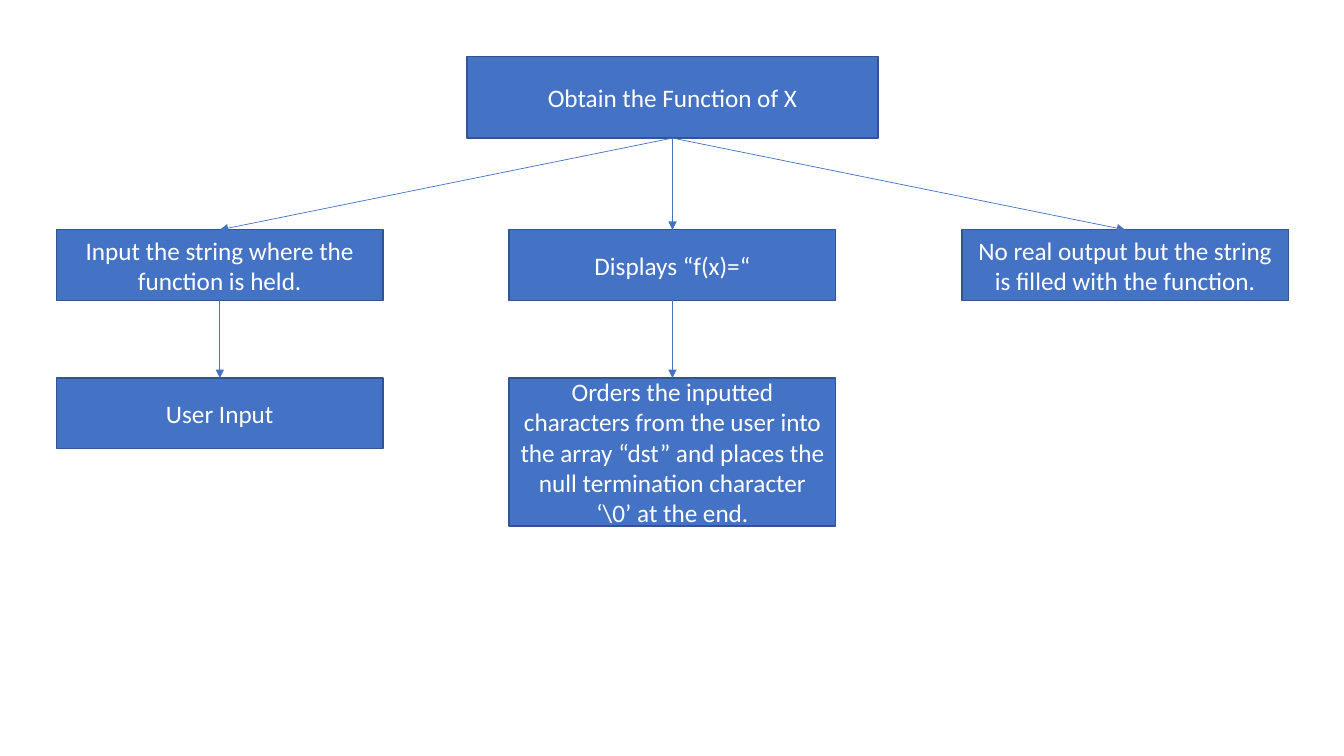
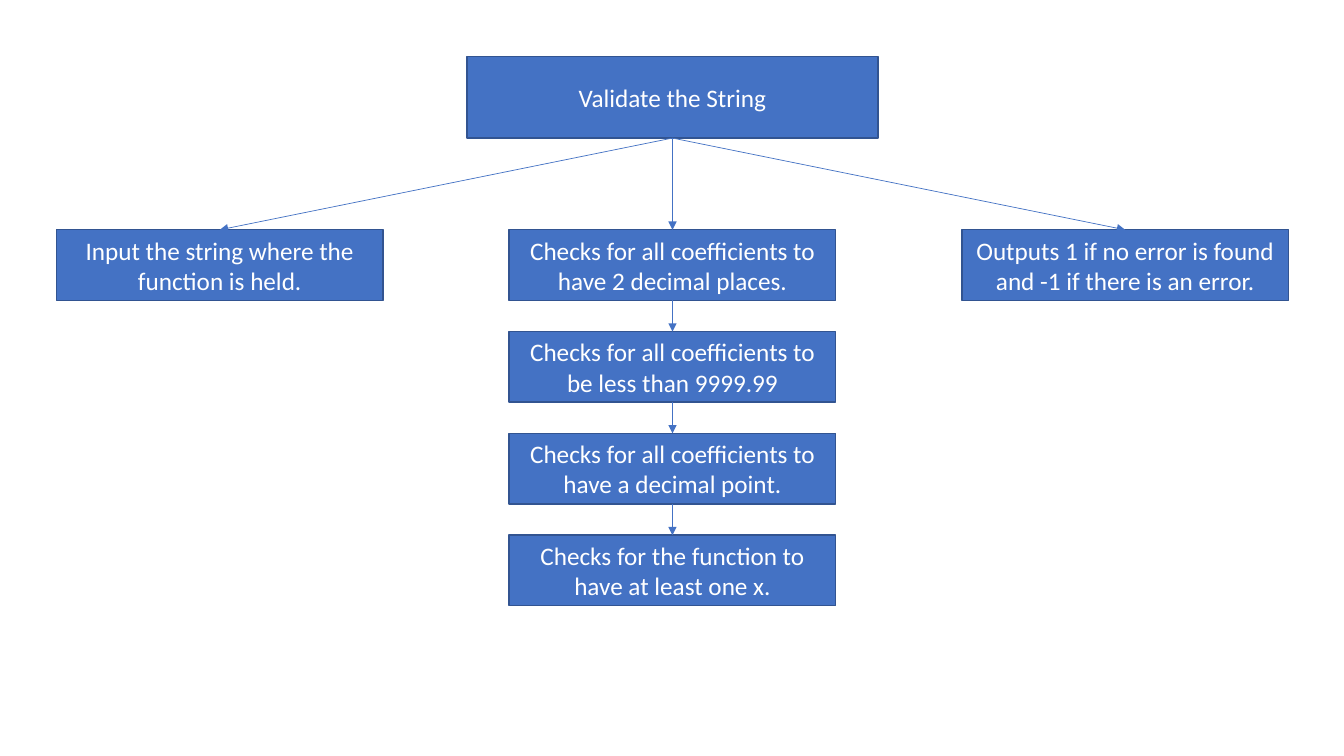
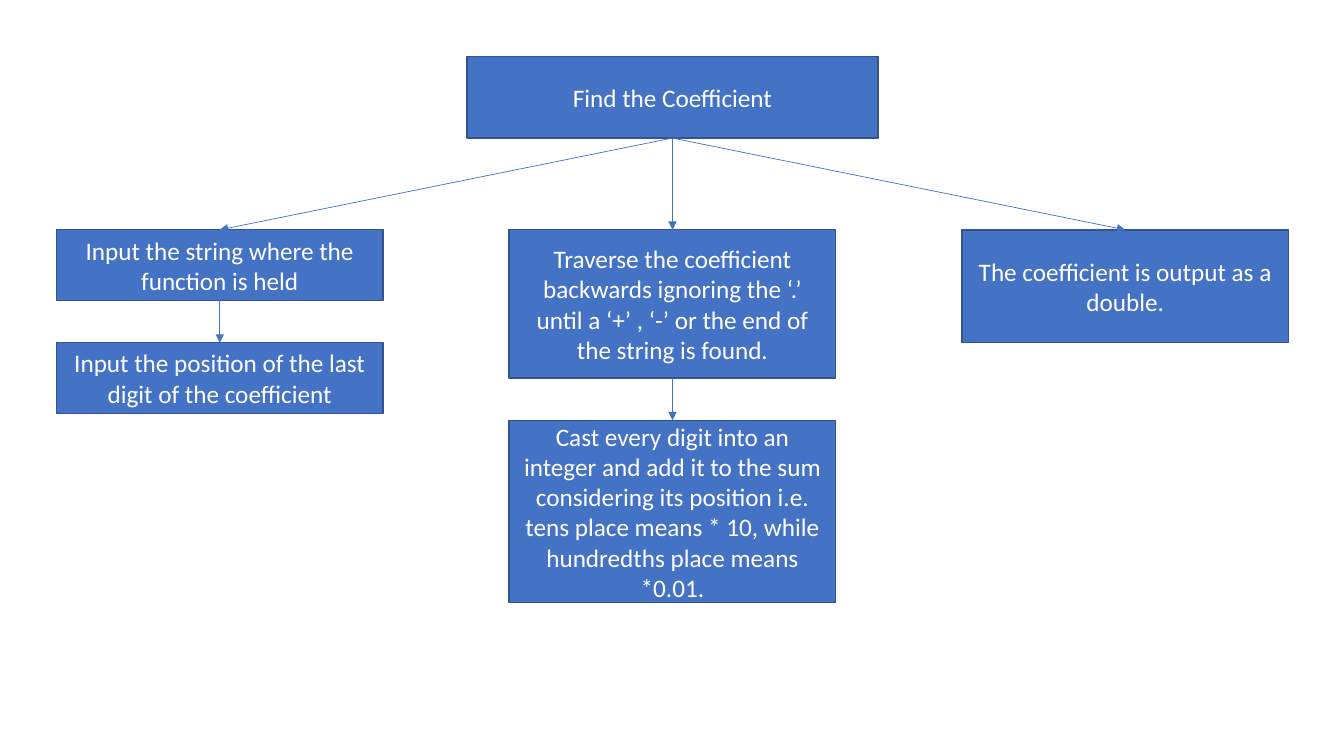
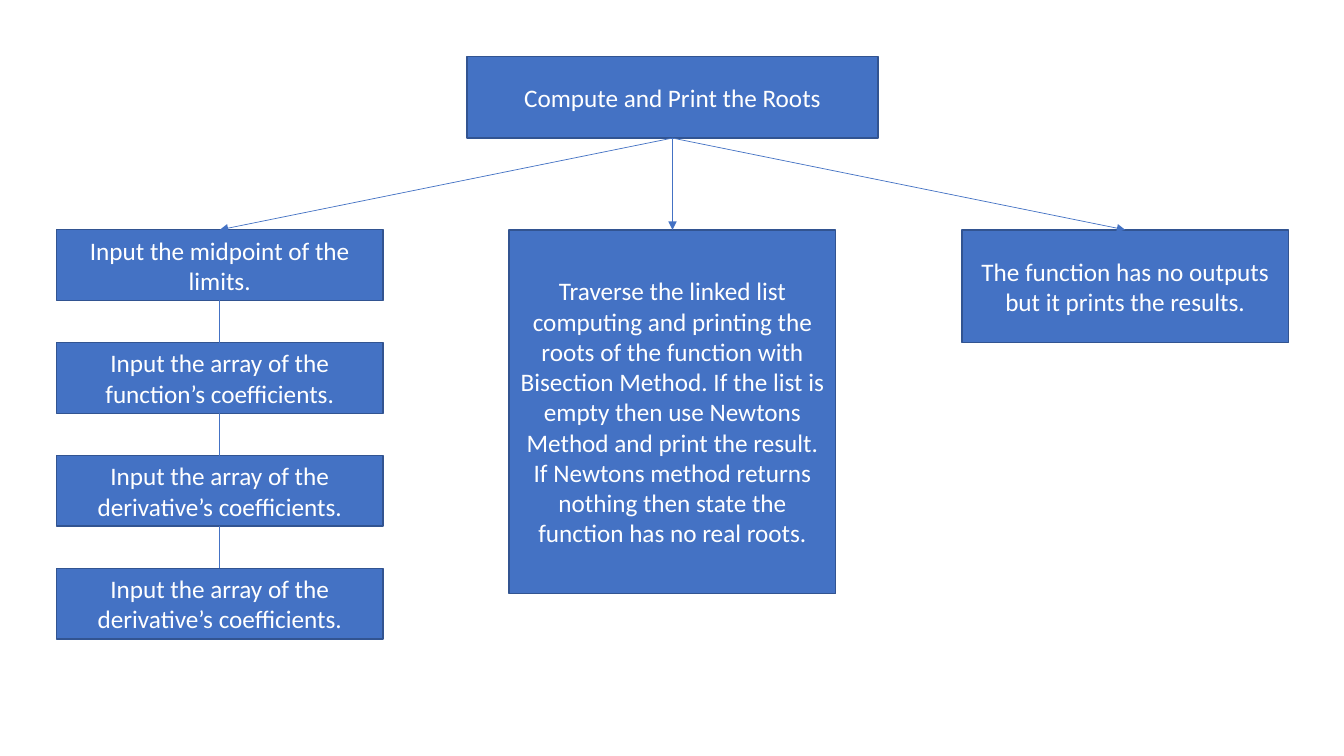
"""Build four structure charts, each a function with its input, process and output columns."""
from lxml import etree
from pptx import Presentation
from pptx.dml.color import RGBColor
from pptx.enum import shapes, text
from pptx.oxml import ns
from pptx.util import Inches, Pt

COLORS = {"box": "4472C4", "border": "325491", "arrow": "4472C4", "text": "FFFFFF"}
FONT = "Calibri"
ROOT = (4.63, 0.56, 4.08, 0.81)
COLUMN_LEFT, COLUMN_STEP, COLUMN_TOP, COLUMN_WIDTH = 0.56, 4.49, 2.28, 3.24
LOW, MEDIUM, TALL = 0.7, 1.12, 1.47
TOP_SITE, BOTTOM_SITE = 0, 2

CHARTS = [
    {
        "root": "Obtain the Function of X",
        "gap": 0.77,
        "columns": [
            [("Input the string where the function is held.", LOW), ("User Input", LOW)],
            [
                ("Displays “f(x)=“", LOW),
                ("Orders the inputted characters from the user into the array “dst” "
                 "and places the null termination character ‘\\0’ at the end.", TALL),
            ],
            [("No real output but the string is filled with the function.", LOW)],
        ],
    },
    {
        "root": "Validate the String",
        "gap": 0.31,
        "columns": [
            [("Input the string where the function is held.", LOW)],
            [
                ("Checks for all coefficients to have 2 decimal places.", LOW),
                ("Checks for all coefficients to be less than 9999.99", LOW),
                ("Checks for all coefficients to have a decimal point.", LOW),
                ("Checks for the function to have at least one x.", LOW),
            ],
            [("Outputs 1 if no error is found and -1 if there is an error.", LOW)],
        ],
    },
    {
        "root": "Find the Coefficient",
        "gap": 0.42,
        "columns": [
            [
                ("Input the string where the function is held", LOW),
                ("Input the position of the last digit of the coefficient", LOW),
            ],
            [
                ("Traverse the coefficient backwards ignoring the ‘.’ until a ‘+’ , ‘-’ "
                 "or the end of the string is found.", TALL),
                ("Cast every digit into an integer and add it to the sum considering its "
                 "position i.e. tens place means * 10, while hundredths place means *0.01.",
                 1.81),
            ],
            [("The coefficient is output as a double.", MEDIUM)],
        ],
    },
    {
        "root": "Compute and Print the Roots",
        "gap": 0.42,
        "step_arrows": False,
        "columns": [
            [
                ("Input the midpoint of the limits.", LOW),
                ("Input the array of the function’s coefficients.", LOW),
                ("Input the array of the derivative’s coefficients.", LOW),
                ("Input the array of the derivative’s coefficients.", LOW),
            ],
            [
                ("Traverse the linked list computing and printing the roots of the function "
                 "with Bisection Method. If the list is empty then use Newtons Method and "
                 "print the result. If Newtons method returns nothing then state the "
                 "function has no real roots.", 3.61),
            ],
            [("The function has no outputs but it prints the results.", MEDIUM)],
        ],
    },
]


def rgb(role):
    """Return the colour for a role."""
    return RGBColor.from_string(COLORS[role])


def write(frame, wording, size=18, color="text", align=text.PP_ALIGN.CENTER):
    """Put formatted wording in the middle of a text frame."""
    frame.word_wrap = True
    frame.vertical_anchor = text.MSO_ANCHOR.MIDDLE
    paragraph = frame.paragraphs[0]
    paragraph.alignment = align
    run = paragraph.add_run()
    run.text = wording
    run.font.name = FONT
    run.font.size = Pt(size)
    run.font.color.rgb = rgb(color)


def add_step(slide, wording, left, top, width, height):
    """Add one box of the chart."""
    step = slide.shapes.add_shape(
        shapes.MSO_SHAPE.RECTANGLE, Inches(left), Inches(top), Inches(width), Inches(height))
    step.shadow.inherit = False
    step.fill.solid()
    step.fill.fore_color.rgb = rgb("box")
    step.line.color.rgb = rgb("border")
    step.line.width = Pt(1)
    write(step.text_frame, wording)
    return step


def link(slide, upper, lower, arrow=True):
    """Join the bottom of one box to the top of another."""
    connector = slide.shapes.add_connector(shapes.MSO_CONNECTOR.STRAIGHT, 0, 0, 0, 0)
    connector.begin_connect(upper, BOTTOM_SITE)
    connector.end_connect(lower, TOP_SITE)
    connector.line.color.rgb = rgb("arrow")
    connector.line.width = Pt(0.5)
    if arrow:
        outline = connector.line._get_or_add_ln()
        etree.SubElement(outline, ns.qn("a:tailEnd"), type="triangle")
    etree.SubElement(connector._element.spPr, ns.qn("a:effectLst"))


def add_column(slide, root, steps, left, gap, step_arrows):
    """Stack the steps of one column and link them from the root."""
    top, upper, arrow = COLUMN_TOP, root, True
    for wording, height in steps:
        step = add_step(slide, wording, left, top, COLUMN_WIDTH, height)
        link(slide, upper, step, arrow)
        top += height + gap
        upper, arrow = step, step_arrows


def add_chart_slide(deck, chart):
    """Add a slide with one structure chart."""
    slide = deck.slides.add_slide(deck.slide_layouts[6])
    root = add_step(slide, chart["root"], *ROOT)
    for index, steps in enumerate(chart["columns"]):
        left = COLUMN_LEFT + index * COLUMN_STEP
        add_column(slide, root, steps, left, chart["gap"], chart.get("step_arrows", True))


def main():
    """Build and save the deck."""
    deck = Presentation()
    deck.slide_width, deck.slide_height = Inches(13.33), Inches(7.5)
    for chart in CHARTS:
        add_chart_slide(deck, chart)
    deck.save("out.pptx")


main()
